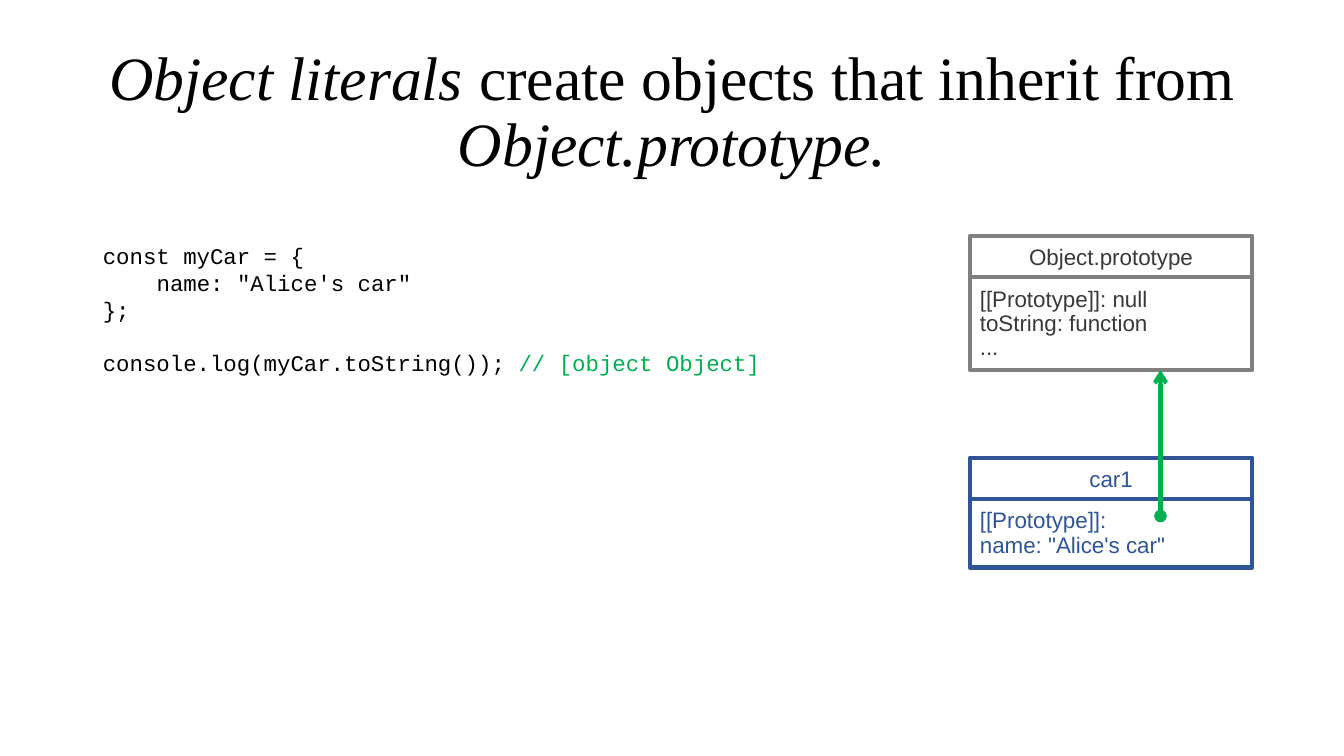
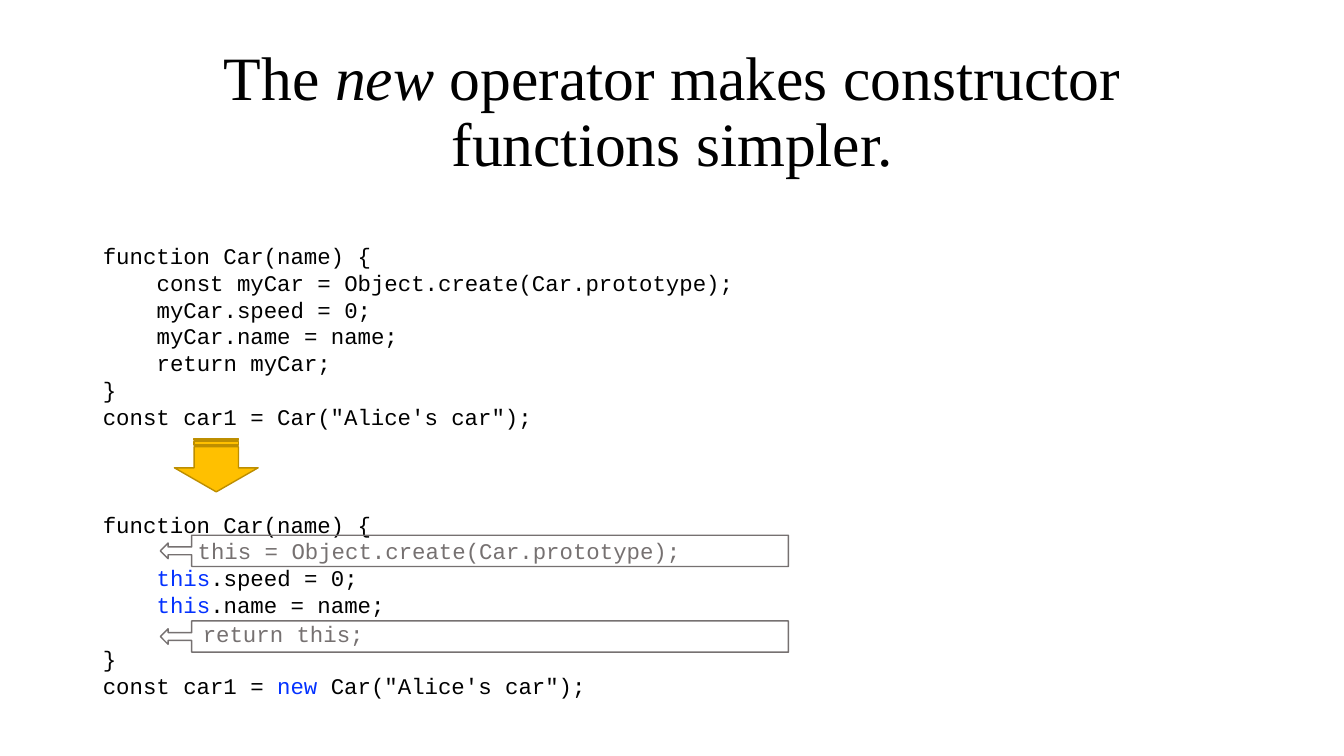
from pptx import Presentation
from pptx.dml.color import RGBColor
from pptx.enum.shapes import MSO_CONNECTOR, MSO_SHAPE as SHAPE
from pptx.enum.text import MSO_ANCHOR as ANCHOR, MSO_AUTO_SIZE, PP_ALIGN as ALIGN
from pptx.oxml.ns import qn
from pptx.util import Inches, Pt
from lxml.etree import SubElement

COLORS = {
    "black": "000000",
    "green": "00B050",
    "keyword": "0432FF",
    "gray": "808080",
    "dark": "3B3838",
    "blue": "2F5597",
    "hint": "767171",
    "gold": "FFC000",
    "gold_line": "BD8E00",
}
TITLE_FONT = {"name": "Times New Roman", "size": Pt(44), "italic": False}
CODE_FONT = {"name": "Courier New", "size": Pt(16)}
CARD_FONT = {"name": "Arial", "size": Pt(16)}

CODE_LINE = 19.2  # points
CODE_INDENT = 38.4  # points, four characters
CARD_LINE = 17.4  # points
CARD_LEFT, CARD_WIDTH, CARD_HEAD = 9.62, 2.8, 0.41


def set_all(target, values):
    for name, value in values.items():
        setattr(target, name, value)


def color(name):
    return RGBColor.from_string(COLORS[name])


def write(paragraph, runs, font, color_name="black", **paragraph_format):
    """Fill a paragraph from a string or from (text, color, extra font) runs."""
    set_all(paragraph, paragraph_format)
    if isinstance(runs, str):
        runs = [(runs, color_name, {})]
    for text, run_color, extra in runs:
        run = paragraph.add_run()
        run.text = text
        set_all(run.font, {**font, **extra})
        run.font.color.rgb = color(run_color)


def set_frame(frame, anchor, left=0.1, top=0.05, right=0.1, bottom=0.05):
    set_all(frame, {
        "word_wrap": True,
        "auto_size": MSO_AUTO_SIZE.NONE,
        "vertical_anchor": anchor,
        "margin_left": Inches(left),
        "margin_top": Inches(top),
        "margin_right": Inches(right),
        "margin_bottom": Inches(bottom),
    })


def place(shape, left, top, width, height):
    set_all(shape, {
        "left": Inches(left), "top": Inches(top),
        "width": Inches(width), "height": Inches(height),
    })


class Deck:
    """Holds the presentation, its style and the current slide."""

    def __init__(self):
        self.presentation = Presentation()
        self.presentation.slide_width = Inches(13.33)
        self.presentation.slide_height = Inches(7.5)
        self.slide = None

    def add_slide(self, title_runs, code_lines):
        layout = self.presentation.slide_layouts[1]
        self.slide = self.presentation.slides.add_slide(layout)
        self.title(title_runs)
        self.code(code_lines)

    def title(self, runs):
        title = self.slide.shapes.title
        place(title, 0.92, 0.4, 11.5, 1.45)
        set_frame(title.text_frame, ANCHOR.MIDDLE)
        write(title.text_frame.paragraphs[0], runs, TITLE_FONT,
              alignment=ALIGN.CENTER, line_spacing=0.9)

    def code(self, lines):
        """Each line is (runs, indent level, empty lines above)."""
        body = self.slide.placeholders[1]
        place(body, 0.92, 2.34, 7.77, 4.33)
        frame = body.text_frame
        set_frame(frame, ANCHOR.TOP, top=0.06)
        for index, (runs, level, gap) in enumerate(lines):
            paragraph = frame.add_paragraph() if index else frame.paragraphs[0]
            write(paragraph, runs, CODE_FONT, alignment=ALIGN.LEFT,
                  line_spacing=Pt(CODE_LINE), space_before=Pt(gap * CODE_LINE))
            properties = paragraph._p.get_or_add_pPr()
            properties.set("marL", str(Pt(level * CODE_INDENT)))
            properties.set("indent", "0")
            SubElement(properties, qn("a:buNone"))

    def shape(self, kind, box, line, weight, fill=None, adjustments=(), parent=None):
        shapes = (parent or self.slide).shapes
        shape = shapes.add_shape(kind, *map(Inches, box))
        shape.shadow.inherit = False
        shape.line.color.rgb = color(line)
        shape.line.width = Pt(weight)
        if fill:
            shape.fill.solid()
            shape.fill.fore_color.rgb = color(fill)
        else:
            shape.fill.background()
        for index, value in enumerate(adjustments):
            shape.adjustments[index] = value
        return shape

    def object_card(self, top, name, members, line, text):
        group = self.slide.shapes.add_group_shape()
        head = self.shape(SHAPE.RECTANGLE, (CARD_LEFT, top, CARD_WIDTH, CARD_HEAD),
                          line, 3, parent=group)
        set_frame(head.text_frame, ANCHOR.MIDDLE, top=0.07, bottom=0.07)
        write(head.text_frame.paragraphs[0], name, CARD_FONT, text,
              alignment=ALIGN.CENTER)

        height = 0.2 + 0.24 * len(members)
        body = self.shape(SHAPE.RECTANGLE,
                          (CARD_LEFT, top + CARD_HEAD, CARD_WIDTH, height),
                          line, 3, parent=group)
        frame = body.text_frame
        set_frame(frame, ANCHOR.TOP, top=0.1, bottom=0.1)
        for index, member in enumerate(members):
            paragraph = frame.add_paragraph() if index else frame.paragraphs[0]
            write(paragraph, member, CARD_FONT, text,
                  alignment=ALIGN.LEFT, line_spacing=Pt(CARD_LINE))

    def prototype_link(self, x, start, end):
        link = self.slide.shapes.add_connector(
            MSO_CONNECTOR.STRAIGHT, *map(Inches, (x, start, x, end)))
        link.line.color.rgb = color("green")
        link.line.width = Pt(3)
        outline = link.line._get_or_add_ln()
        SubElement(outline, qn("a:headEnd"), type="oval")
        SubElement(outline, qn("a:tailEnd"), type="arrow")
        SubElement(link._element.spPr, qn("a:effectLst"))

    def hint(self, top, text, body_share, left, bottom):
        callout = self.shape(SHAPE.LEFT_ARROW_CALLOUT, (1.59, top, 6.23, 0.31),
                             "hint", 1, adjustments=(0.25, 0.25, 0.25, body_share))
        set_frame(callout.text_frame, ANCHOR.MIDDLE, left, 0, 0, bottom)
        write(callout.text_frame.paragraphs[0], text, CODE_FONT, "hint",
              alignment=ALIGN.LEFT)

    def down_arrow(self):
        arrow = self.shape(SHAPE.STRIPED_RIGHT_ARROW, (1.88, 4.2, 0.53, 0.83),
                           "gold_line", 1, "gold", (0.53, 0.45))
        arrow.rotation = 90


def black(text, **extra):
    return text, "black", extra


def keyword(text):
    return text, "keyword", {}


def main():
    deck = Deck()

    # Object literals
    deck.add_slide(
        [black("Object literals ", italic=True),
         black("create objects that inherit from "),
         black("Object.prototype.", italic=True)],
        [("const myCar = {", 0, 0),
         ("name: \"Alice's car\"", 1, 0),
         ("};", 0, 0),
         ([black("console.log(myCar.toString()); "),
           ("// [object Object]", "green", {})], 0, 1)])
    deck.object_card(2.34, "Object.prototype",
                     ["[[Prototype]]: null", "toString: function", "..."],
                     "gray", "dark")
    deck.object_card(4.54, "car1", ["[[Prototype]]:", "name: \"Alice's car\""],
                     "blue", "blue")
    deck.prototype_link(11.51, 5.12, 3.67)

    # The new operator
    deck.add_slide(
        [black("The "), black("new", italic=True),
         black(" operator makes constructor functions simpler.")],
        [("function Car(name) {", 0, 0),
         ("const myCar = Object.create(Car.prototype);", 1, 0),
         ("myCar.speed = 0;", 1, 0),
         ("myCar.name = name;", 1, 0),
         ("return myCar;", 1, 0),
         ("}", 0, 0),
         ("const car1 = Car(\"Alice's car\");", 0, 0),
         ("function Car(name) {", 0, 3),
         ([keyword("this"), black(".speed = 0;")], 1, 1),
         ([keyword("this"), black(".name = name;")], 1, 0),
         ("}", 0, 1),
         ([black("const car1 = "), keyword("new"),
           black(" Car(\"Alice's car\");")], 0, 0)])
    deck.hint(5.31, "this = Object.create(Car.prototype);", 0.95, 0.06, 0)
    deck.hint(6.16, "return this;", 0.95, 0.11, 0.06)
    deck.down_arrow()

    deck.presentation.save("out.pptx")


if __name__ == "__main__":
    main()
